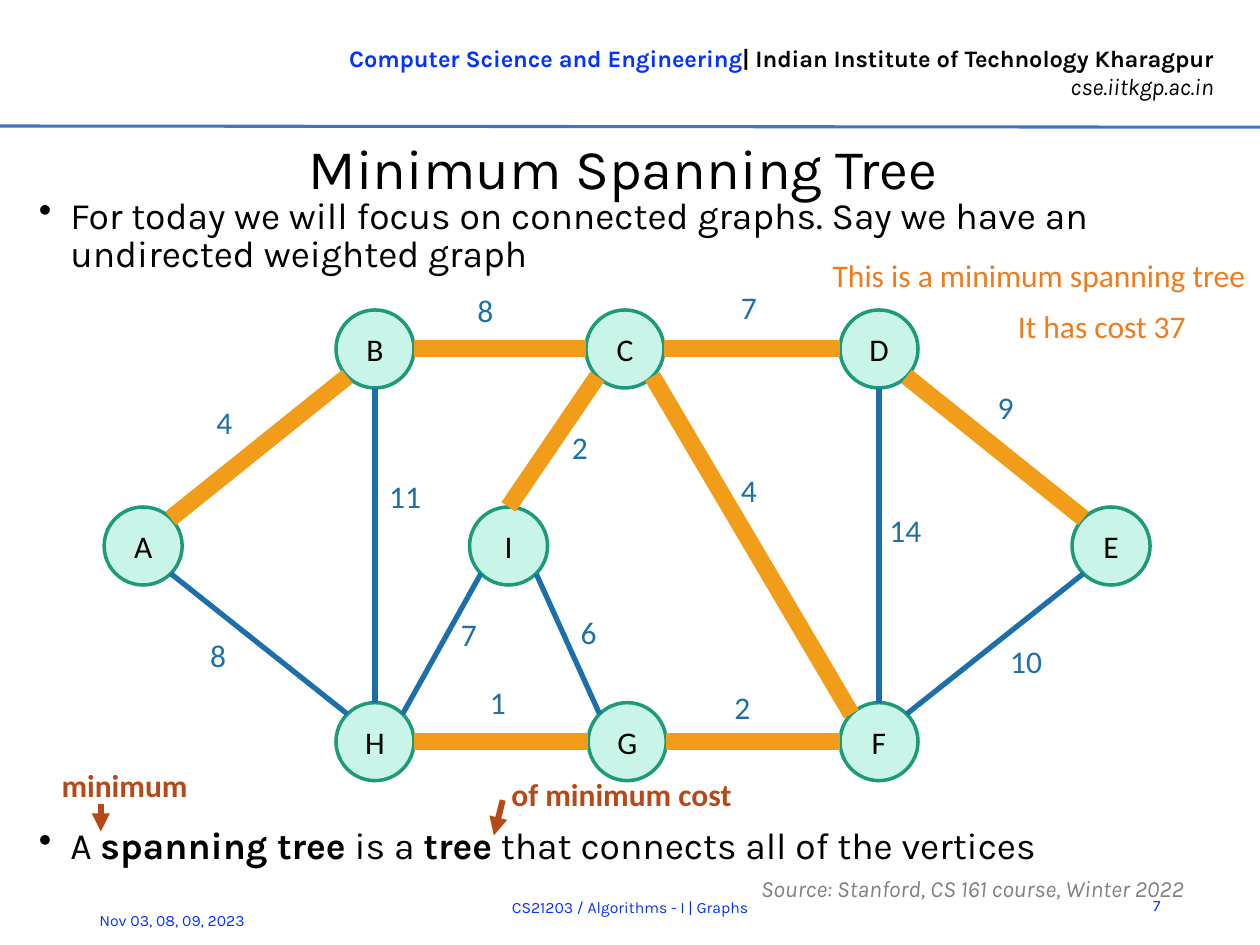
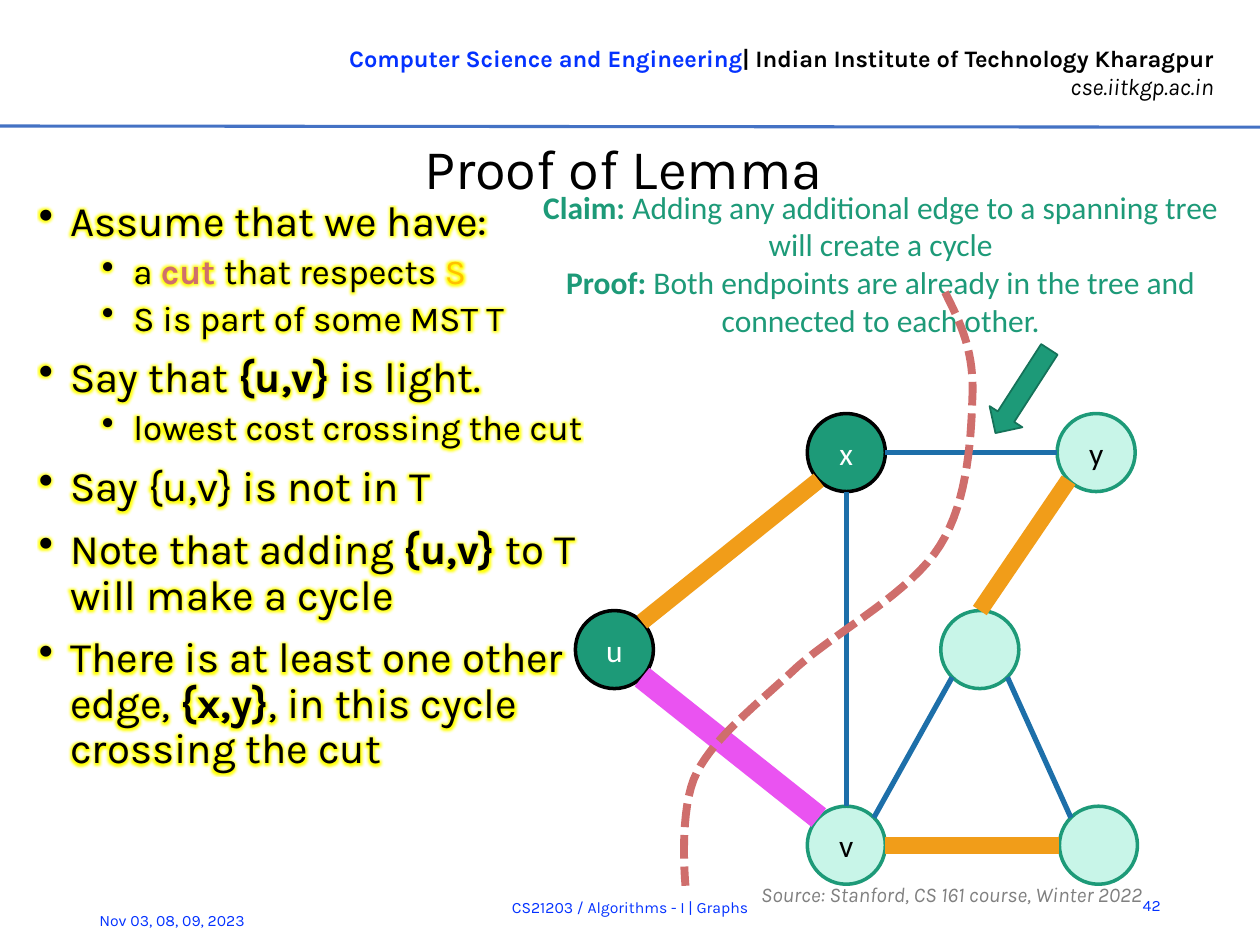
import math

import pptx
import pptx.dml.color
import pptx.enum.dml
import pptx.enum.shapes
import pptx.enum.text
import pptx.oxml.ns
import pptx.util
from lxml import etree

Pt = pptx.util.Pt
RGBColor = pptx.dml.color.RGBColor
ALIGN = pptx.enum.text.PP_ALIGN
ANCHOR = pptx.enum.text.MSO_ANCHOR
SHAPE = pptx.enum.shapes.MSO_SHAPE
qn = pptx.oxml.ns.qn

BLACK = RGBColor(0x00, 0x00, 0x00)
WHITE = RGBColor(0xFF, 0xFF, 0xFF)
GREY = RGBColor(0x80, 0x80, 0x80)
LINK_BLUE = RGBColor(0x04, 0x32, 0xFF)
RULE_BLUE = RGBColor(0x44, 0x72, 0xC4)
EDGE_BLUE = RGBColor(0x1D, 0x6F, 0xA9)
TREE_ORANGE = RGBColor(0xF1, 0x9D, 0x19)
NOTE_ORANGE = RGBColor(0xF0, 0x7B, 0x1A)
RUST = RGBColor(0xB7, 0x49, 0x19)
MINT = RGBColor(0xC8, 0xF5, 0xE8)
GREEN = RGBColor(0x1D, 0x9A, 0x78)
DARK_GREEN = RGBColor(0x15, 0x72, 0x59)
MAGENTA = RGBColor(0xEA, 0x53, 0xF1)
CUT_RED = RGBColor(0xCF, 0x6E, 0x6C)
GOLD = RGBColor(0xFF, 0xC0, 0x00)
GLOW_YELLOW = "FFFF00"
KARLA, CALIBRI = "Karla", "Calibri"
BOLD = {"bold": True}

HEADER = [
    [("Computer Science and Engineering", {"bold": True, "color": LINK_BLUE}),
     ("| Indian Institute of Technology Kharagpur", BOLD)],
    [("cse.iitkgp.ac.in", {"italic": True})],
]
DATE = "Nov 03, 08, 09, 2023"
COURSE = "CS21203 / Algorithms - I | Graphs"
SOURCE = "Source: Stanford, CS 161 course, Winter 2022"

# Node centres; the proof slide shows part of the same graph, shifted.
NODE_SIZE = 44.6
TOP_ROW, MIDDLE_ROW, BOTTOM_ROW = 199.4, 312, 423.8
NODES = {
    "A": (81.8, MIDDLE_ROW), "B": (214.3, TOP_ROW), "C": (357.1, TOP_ROW),
    "D": (502.3, TOP_ROW), "E": (634.9, MIDDLE_ROW), "F": (502.3, BOTTOM_ROW),
    "G": (358.4, BOTTOM_ROW), "H": (214.3, BOTTOM_ROW), "I": (290.6, MIDDLE_ROW),
}
PROOF_SHIFT = (269.3, 59.2)
TOP_ENDED = {("C", "I")}  # edges that arrive at the top of their end node

# start, end, weight, in the tree, left and top of the weight label
WEIGHTED_EDGES = [
    ("C", "F", 4, True, 416.2, 265.7), ("C", "D", 7, True, 416.2, 161.3),
    ("D", "E", 9, True, 563, 218.2), ("E", "F", 10, False, 570.2, 363.6),
    ("D", "F", 14, False, 501.1, 288.7), ("I", "G", 6, False, 324.7, 347),
    ("G", "F", 2, True, 412.6, 389.5), ("C", "I", 2, True, 319.7, 241.2),
    ("B", "C", 8, True, 265.7, 162.7), ("A", "B", 4, True, 116.6, 226.8),
    ("A", "H", 8, False, 113, 360), ("H", "G", 1, True, 272.9, 386.6),
    ("I", "H", 7, False, 256.3, 347.8), ("B", "H", 11, False, 215.3, 269.3),
]
# node, label, on the dark side of the cut
PROOF_NODES = [("C", "y", False), ("B", "x", True), ("A", "u", True),
               ("H", "v", False), ("G", "", False), ("I", "", False)]
PROOF_EDGES = [
    ("I", "G", EDGE_BLUE, 3), ("C", "I", TREE_ORANGE, 9.5),
    ("B", "C", EDGE_BLUE, 3), ("A", "B", TREE_ORANGE, 9.5),
    ("A", "H", MAGENTA, 13.5), ("G", "H", TREE_ORANGE, 9.5),
    ("I", "H", EDGE_BLUE, 3), ("H", "B", EDGE_BLUE, 3),
]
# Bezier chain: a start, then two controls and an end for each piece
CUT_CURVE = [
    (540, 167), (547.9, 182.9), (555.8, 198), (555.8, 222.5),
    (555.1, 247), (553.7, 285.8), (537.1, 311.8),
    (520.6, 338.4), (479.5, 360), (455.8, 380.9),
    (432.7, 402.5), (409, 420.5), (398.2, 441.4),
    (387.4, 462.2), (391.7, 506.2), (391.7, 506.2),
]

MST_BULLETS = [
    (110.2, "For today we will focus on connected graphs. Say we have an "
            "undirected weighted graph"),
    (470.2, [("A ", {}), ("spanning tree", BOLD), (" is a ", {}), ("tree", BOLD),
             (" that connects all of the vertices", {})]),
]
MST_NOTES = [  # left, top, width, text, colour, bold
    (468.7, 142.6, 251.3, "This is a minimum spanning tree", NOTE_ORANGE, False),
    (574.6, 172.1, 120.2, "It has cost 37", NOTE_ORANGE, False),
    (28.1, 434.2, 115.2, "minimum", RUST, True),
    (285.1, 439.2, 193.7, "of minimum cost", RUST, True),
]
MST_ARROWS = [((57.6, 459.4), (57.6, 475.2)), ((287.3, 457.2), (282.2, 477.4))]

PROOF_BULLETS = [  # level, runs
    (0, "Assume that we have:"),
    (1, [("a ", {}), ("cut ", {"bold": True, "color": CUT_RED}),
         ("that respects", {}), (" S", {"color": GOLD})]),
    (1, "S is part of some MST T"),
    (0, [("Say that ", {}), ("{u,v}", BOLD), (" is light.", {})]),
    (1, "lowest cost crossing the cut"),
    (0, "Say {u,v} is not in T"),
    (0, [("Note that adding ", {}), ("{u,v}", BOLD), (" to T\nwill make a cycle", {})]),
    (0, [("There is at least one other\nedge, ", {}), ("{x,y}", BOLD),
         (", in this cycle\ncrossing the cut", {})]),
]
BULLET_LEVELS = [
    {"size": 24, "before": 10, "indent": 18},
    {"size": 20, "before": 5, "indent": 54},
]
CLAIM = [
    [("Claim: ", BOLD),
     ("Adding any additional edge to a spanning tree will create a cycle", {})],
    [("Proof: ", BOLD),
     ("Both endpoints are already in the tree and connected to each other.", {})],
]


def add_run(paragraph, text, size, font, color, bold=False, italic=False, glow=False):
    run = paragraph.add_run()
    run.text = text
    run.font.size = Pt(size)
    run.font.name = font
    run.font.bold = bold
    run.font.italic = italic
    run.font.color.rgb = color
    if glow:
        effects = etree.Element(qn("a:effectLst"))
        halo = etree.SubElement(effects, qn("a:glow"), rad=str(Pt(5)))
        etree.SubElement(halo, qn("a:srgbClr"), val=GLOW_YELLOW)
        run.font._element.find(qn("a:solidFill")).addnext(effects)


def write_paragraph(frame, runs, align=ALIGN.LEFT, spacing=None, before=0, after=0,
                    indent=None, **style):
    """Add a paragraph; an indent in points makes it a bullet."""
    paragraph = frame.paragraphs[0]
    if paragraph.runs:
        paragraph = frame.add_paragraph()
    paragraph.alignment = align
    paragraph.space_before, paragraph.space_after = Pt(before), Pt(after)
    if spacing:
        paragraph.line_spacing = spacing
    if indent is not None:
        properties = paragraph._p.get_or_add_pPr()
        properties.set("marL", str(Pt(indent)))
        properties.set("indent", str(Pt(-18)))
        etree.SubElement(properties, qn("a:buChar"), char="•")
    if isinstance(runs, str):
        runs = [(runs, {})]
    for text, changes in runs:
        for index, line in enumerate(text.split("\n")):
            if index:
                paragraph.add_line_break()
            add_run(paragraph, line, **{**style, **changes})


def add_box(slide, left, top, width, height, anchor=ANCHOR.TOP, wrap=True):
    box = slide.shapes.add_textbox(Pt(left), Pt(top), Pt(width), Pt(height))
    frame = box.text_frame
    frame.word_wrap = wrap
    frame.vertical_anchor = anchor
    return frame


def add_text(slide, place, text, anchor=ANCHOR.TOP, wrap=True, font=KARLA,
             color=BLACK, **style):
    """Add a text box holding one string or a list of paragraphs."""
    frame = add_box(slide, *place, anchor=anchor, wrap=wrap)
    for runs in [text] if isinstance(text, str) else text:
        write_paragraph(frame, runs, font=font, color=color, **style)
    return frame


def add_line(slide, start, end, color, width, arrow=False):
    line = slide.shapes.add_connector(
        pptx.enum.shapes.MSO_CONNECTOR.STRAIGHT, *map(Pt, (*start, *end)))
    line.line.color.rgb = color
    line.line.width = Pt(width)
    if arrow:
        etree.SubElement(line.line._get_or_add_ln(), qn("a:tailEnd"), type="triangle")
    etree.SubElement(line._element.spPr, qn("a:effectLst"))


def style_shape(shape, fill, outline, width):
    shape.shadow.inherit = False
    if fill is None:
        shape.fill.background()
    else:
        shape.fill.solid()
        shape.fill.fore_color.rgb = fill
    shape.line.color.rgb = outline
    shape.line.width = Pt(width)


def add_node(slide, center, label, dark=False):
    left, top = (value - NODE_SIZE / 2 for value in center)
    node = slide.shapes.add_shape(
        SHAPE.OVAL, Pt(left), Pt(top), Pt(NODE_SIZE), Pt(NODE_SIZE))
    style_shape(node, GREEN if dark else MINT, BLACK if dark else GREEN, 2)
    if label:
        node.text_frame.vertical_anchor = ANCHOR.MIDDLE
        write_paragraph(node.text_frame, label, align=ALIGN.CENTER, size=18,
                        font=CALIBRI, color=WHITE if dark else BLACK)


def rim_point(center, target):
    """Point on a node's rim, in the eighth of a turn nearest to the target."""
    angle = math.atan2(target[1] - center[1], target[0] - center[0])
    angle = round(angle / (math.pi / 4)) * math.pi / 4
    return (center[0] + NODE_SIZE / 2 * math.cos(angle),
            center[1] + NODE_SIZE / 2 * math.sin(angle))


def add_edge(slide, nodes, start, end, color, width):
    first, last = nodes[start], nodes[end]
    if (start, end) in TOP_ENDED:
        finish = (last[0], last[1] - NODE_SIZE / 2)
    else:
        finish = rim_point(last, first)
    add_line(slide, rim_point(first, last), finish, color, width)


def add_cut(slide, steps=16):
    points = []
    for index in range(0, len(CUT_CURVE) - 1, 3):
        piece = CUT_CURVE[index:index + 4]
        for step in range(1, steps + 1):
            t = step / steps
            weights = ((1 - t) ** 3, 3 * t * (1 - t) ** 2, 3 * t * t * (1 - t), t ** 3)
            points.append(tuple(
                Pt(sum(weight * point[axis] for weight, point in zip(weights, piece)))
                for axis in (0, 1)))
    builder = slide.shapes.build_freeform(*map(Pt, CUT_CURVE[0]))
    builder.add_line_segments(points, close=False)
    cut = builder.convert_to_shape()
    style_shape(cut, None, CUT_RED, 4.5)
    cut.line.dash_style = pptx.enum.dml.MSO_LINE.SQUARE_DOT


def start_slide(presentation, title, number, source_top, source_size):
    """Add a slide with the header, title and footer that all slides share."""
    slide = presentation.slides.add_slide(presentation.slide_layouts[6])
    add_text(slide, (190.8, 21.6, 509.8, 40.3), HEADER, wrap=False, size=13.5,
             align=ALIGN.RIGHT)
    add_line(slide, (0, 72), (720, 72.7), RULE_BLUE, 1.75)
    frame = add_text(slide, (23, 75.6, 666.7, 39.6), title, anchor=ANCHOR.MIDDLE,
                     size=32, align=ALIGN.CENTER, before=0.7)
    frame.margin_left = frame.margin_right = frame.margin_bottom = 0
    frame.margin_top = Pt(0.7)
    for left, top, width, text, align in (
            (49.7, 511.2, 126, DATE, ALIGN.LEFT),
            (118.8, 504, 482.4, COURSE, ALIGN.CENTER),
            (635, 502.6, 35.3, str(number), ALIGN.RIGHT)):
        add_text(slide, (left, top, width, 28.8), text, anchor=ANCHOR.MIDDLE,
                 size=9, color=LINK_BLUE, align=align)
    add_text(slide, (427.7, source_top, 289.4, 16.6), SOURCE, anchor=ANCHOR.MIDDLE,
             size=source_size, color=GREY, italic=True, spacing=Pt(21.3))
    return slide


def add_tree_slide(presentation):
    slide = start_slide(presentation, "Minimum Spanning Tree", 7, 496.8, 13.3)
    for top, runs in MST_BULLETS:
        add_text(slide, (15.1, top, 674.6, 50), [runs], size=21.3, indent=18,
                 spacing=Pt(21.6), before=1.3, after=1.3)
    for left, top, width, text, color, bold in MST_NOTES:
        add_text(slide, (left, top, width, 28.8), text, font=CALIBRI, size=18,
                 color=color, bold=bold)
    for start, end in MST_ARROWS:
        add_line(slide, start, end, RUST, 3.5, arrow=True)
    for name, center in NODES.items():
        add_node(slide, center, name)
    for start, end, weight, in_tree, left, top in WEIGHTED_EDGES:
        color, width = (TREE_ORANGE, 9.75) if in_tree else (EDGE_BLUE, 3)
        add_edge(slide, NODES, start, end, color, width)
        add_text(slide, (left, top, 62, 36), str(weight), font=CALIBRI, size=18,
                 color=EDGE_BLUE)


def add_proof_slide(presentation):
    slide = start_slide(presentation, "Proof of Lemma", 42, 499, 12)
    frame = add_box(slide, 15.1, 110.9, 674.6, 146.2)
    for level, runs in PROOF_BULLETS:
        write_paragraph(frame, runs, font=KARLA, color=BLACK, spacing=0.9, glow=True,
                        **BULLET_LEVELS[level])
    add_text(slide, (291.6, 103.7, 423.4, 94.3), CLAIM, font=CALIBRI, size=18,
             color=GREEN, align=ALIGN.CENTER)
    nodes = {name: (x + PROOF_SHIFT[0], y + PROOF_SHIFT[1])
             for name, (x, y) in NODES.items()}
    for name, label, dark in PROOF_NODES:
        add_node(slide, nodes[name], label, dark)
    for start, end, color, width in PROOF_EDGES:
        add_edge(slide, nodes, start, end, color, width)
    add_cut(slide)
    pointer = slide.shapes.add_shape(
        SHAPE.LEFT_ARROW, Pt(555.8), Pt(212.4), Pt(56.9), Pt(22.3))
    pointer.rotation = 302.8
    style_shape(pointer, GREEN, DARK_GREEN, 1)


def main():
    presentation = pptx.Presentation()
    presentation.slide_width, presentation.slide_height = Pt(720), Pt(540)
    add_tree_slide(presentation)
    add_proof_slide(presentation)
    presentation.save("out.pptx")


if __name__ == "__main__":
    main()
